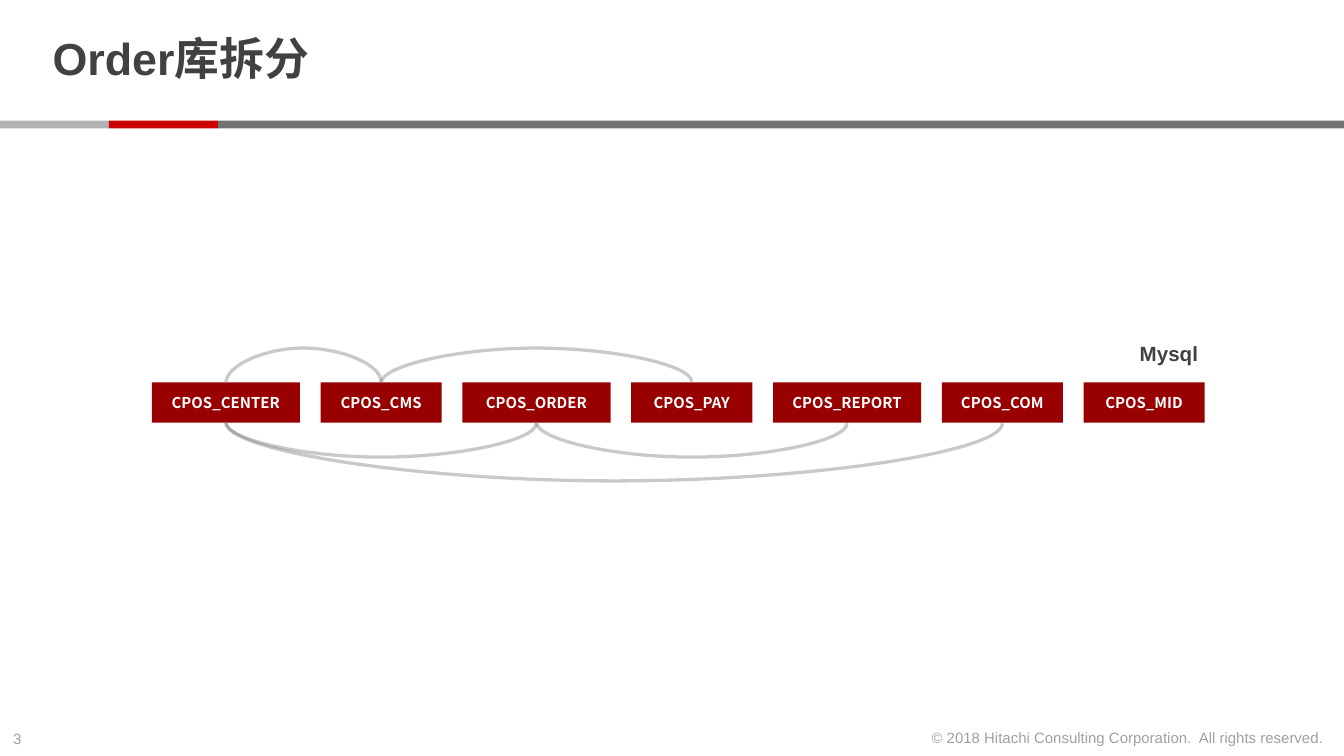
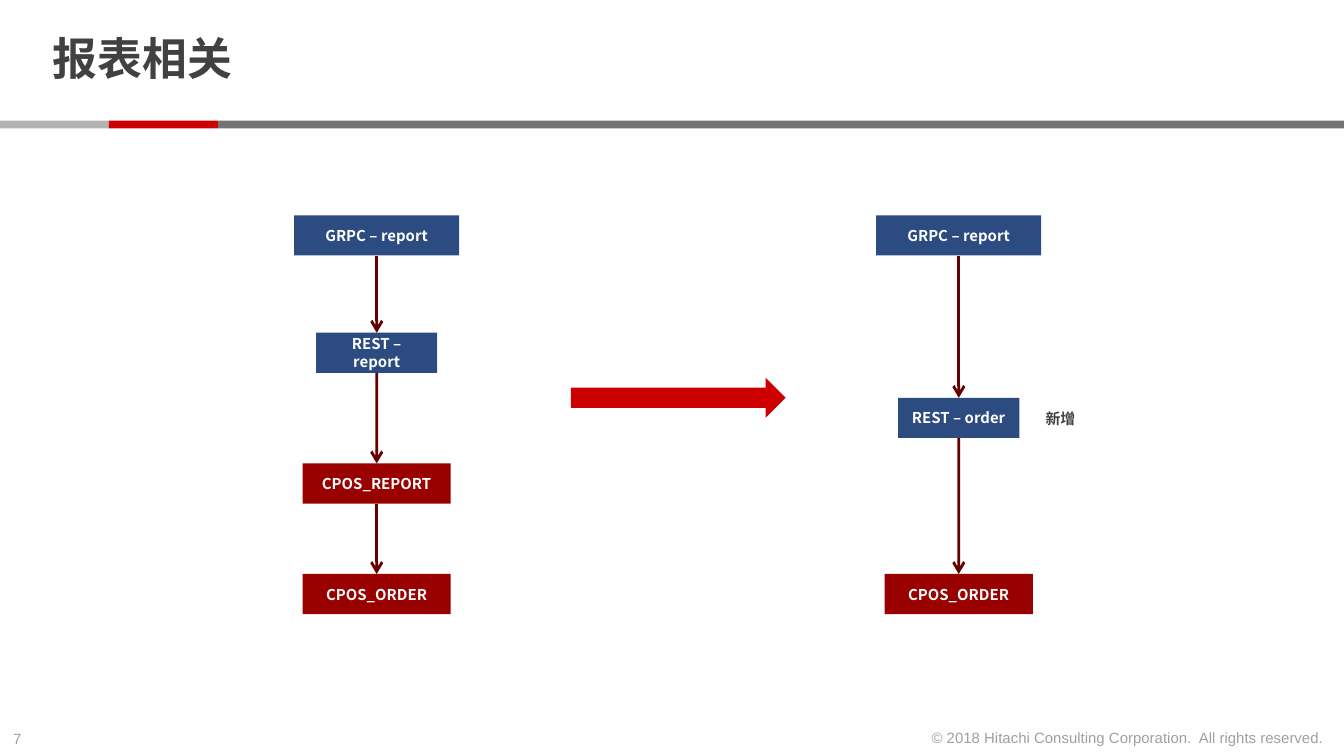
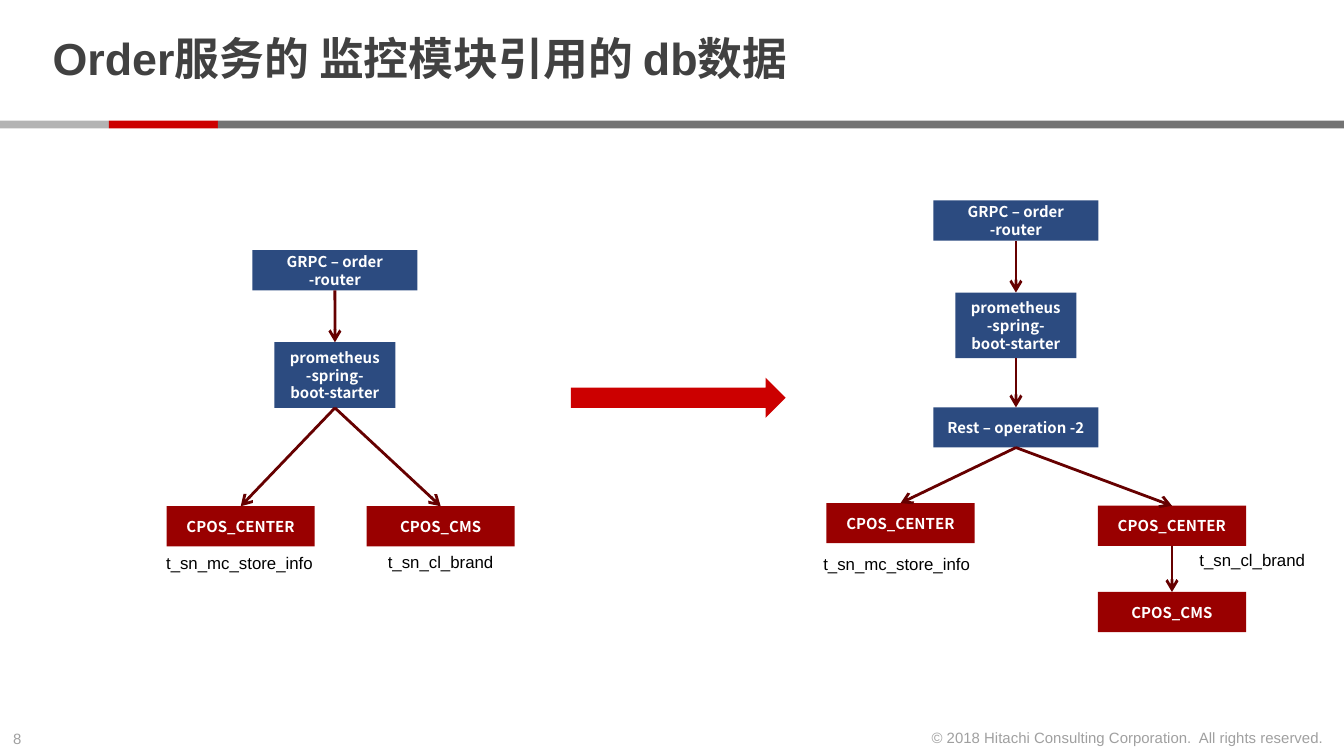
from lxml.etree import SubElement
from pptx import Presentation
from pptx.dml.color import RGBColor
from pptx.enum.shapes import MSO_CONNECTOR, MSO_SHAPE
from pptx.enum.text import MSO_ANCHOR, MSO_AUTO_SIZE, PP_ALIGN
from pptx.oxml.ns import qn
from pptx.util import Cm, Pt

COLORS = {
    "text": "414141", "black": "000000", "white": "FFFFFF",
    "light grey": "B3B3B3", "red": "CC0000", "dark grey": "737373",
    "database": "990000", "service": "2C4B80", "arrow": "660000", "curve": "808080",
}
PALETTE = {name: RGBColor.from_string(value) for name, value in COLORS.items()}
BOX_STYLES = {
    "database": (2.8, 0.76, "database"),
    "small database": (2.29, 0.76, "database"),
    "service": (3.12, 0.76, "service"),
    "small service": (2.29, 0.76, "service"),
    "tall service": (2.29, 1.24, "service"),
}


def add_box(page, text, center, top, style):
    width, height, color = BOX_STYLES[style]
    box = page.shapes.add_shape(
        MSO_SHAPE.RECTANGLE, Cm(center - width / 2), Cm(top), Cm(width), Cm(height))
    box.shadow.inherit = False
    box.fill.solid()
    box.fill.fore_color.rgb = PALETTE[color]
    box.line.fill.background()
    box.text_frame.word_wrap = True
    box.text_frame.vertical_anchor = MSO_ANCHOR.MIDDLE
    para = box.text_frame.paragraphs[0]
    para.text = text
    para.alignment = PP_ALIGN.CENTER
    font = para.runs[0].font
    font.name, font.size, font.bold = "Noto Sans CJK SC", Pt(8), True
    font.color.rgb = PALETTE["white"]
    return box


def add_label(page, text, left, top, width, size, color="text", bold=False,
              align=PP_ALIGN.LEFT, opacity=100):
    label = page.shapes.add_textbox(Cm(left), Cm(top), Cm(width), Cm(0.62))
    label.text_frame.word_wrap = False
    para = label.text_frame.paragraphs[0]
    para.text = text
    para.alignment = align
    font = para.runs[0].font
    font.name, font.size, font.bold = "Arial", Pt(size), bold
    font.color.rgb = PALETTE[color]
    if opacity < 100:
        for paint in label.element.iter(qn("a:srgbClr")):
            SubElement(paint, qn("a:alpha")).set("val", str(opacity * 1000))
    return label


deck = Presentation()
deck.slide_width, deck.slide_height = Cm(25.4), Cm(14.29)
layout = deck.slide_layouts[5]
for placeholder in list(layout.placeholders)[1:]:
    layout.shapes.element.remove(placeholder.element)

pages = []
for title_text, number in [
    ("Order库拆分", "3"),
    ("报表相关", "7"),
    ("Order服务的 监控模块引用的 db数据", "8"),
]:
    page = deck.slides.add_slide(layout)
    pages.append(page)
    title = page.shapes.title
    title.left, title.top, title.width, title.height = Cm(0.74), Cm(0.15), Cm(19.58), Cm(2.03)
    frame = title.text_frame
    frame.text = title_text
    frame.auto_size = MSO_AUTO_SIZE.NONE
    frame.vertical_anchor = MSO_ANCHOR.MIDDLE
    frame.margin_top = frame.margin_bottom = 0
    para = frame.paragraphs[0]
    para.alignment = PP_ALIGN.LEFT
    para.line_spacing = 0.85
    font = para.runs[0].font
    font.name, font.size, font.bold = "Arial", Pt(24), True
    font.color.rgb = PALETTE["text"]
    add_label(page, number, 0, 13.66, 0.86, 8, opacity=50)

split_page, report_page, monitor_page = pages

for left, width, color in [
    (0, 2.06, "light grey"), (2.06, 2.06, "red"), (4.12, 21.28, "dark grey"),
]:
    band = split_page.shapes.add_shape(
        MSO_SHAPE.RECTANGLE, Cm(left), Cm(2.28), Cm(width), Cm(0.15))
    band.shadow.inherit = False
    band.fill.solid()
    band.fill.fore_color.rgb = PALETTE[color]
    band.line.fill.background()
    layout.shapes.element.append(band.element)
copyright_line = add_label(
    split_page, "© 2018 Hitachi Consulting Corporation.  All rights reserved.",
    17.27, 13.65, 8, 8, align=PP_ALIGN.RIGHT, opacity=50)
layout.shapes.element.append(copyright_line.element)

databases = {}
left = 2.87
for name, style in [
    ("CENTER", "database"), ("CMS", "small database"), ("ORDER", "database"),
    ("PAY", "small database"), ("REPORT", "database"), ("COM", "small database"),
    ("MID", "small database"),
]:
    width = BOX_STYLES[style][0]
    databases[name] = add_box(split_page, f"CPOS_{name}", left + width / 2, 7.23, style)
    left += width + 0.39

thickness = Cm(0.02)
for start, end, side, depth in [
    ("ORDER", "CENTER", 2, 0.64), ("REPORT", "ORDER", 2, 0.64),
    ("CMS", "CENTER", 0, 0.64), ("PAY", "CMS", 0, 0.64), ("COM", "CENTER", 2, 1.09),
]:
    curve = split_page.shapes.add_connector(MSO_CONNECTOR.CURVE, 0, 0, 0, 0)
    curve.begin_connect(databases[start], side)
    curve.end_connect(databases[end], side)
    span_width = abs(curve.begin_x - curve.end_x)
    middle_x, middle_y = (curve.begin_x + curve.end_x) // 2, curve.begin_y
    curve.left, curve.top = middle_x - thickness // 2, middle_y - span_width // 2
    curve.width, curve.height = thickness, span_width
    frame = curve.element.spPr.find(qn("a:xfrm"))
    frame.set("rot", "5400000" if side == 2 else "16200000")
    frame.set("flipH", "1")
    frame.set("flipV", "0" if side == 2 else "1")
    guide = SubElement(next(curve.element.iter(qn("a:avLst"))), qn("a:gd"))
    guide.set("name", "adj1")
    guide.set("fmla", f"val {-round(Cm(depth) / thickness * 100000)}")
    curve.line.width = Pt(1.75)
    curve.line.color.rgb = PALETTE["curve"]
    for paint in curve.element.iter(qn("a:srgbClr")):
        SubElement(paint, qn("a:alpha")).set("val", "42000")
    SubElement(curve.element.spPr, qn("a:effectLst"))

add_label(split_page, "Mysql", 21.29, 6.32, 1.63, 11, bold=True)

report_nodes = [
    ("GRPC – report", 7.12, 4.07, "service", None),
    ("REST – report", 7.12, 6.29, "small service", 0),
    ("CPOS_REPORT", 7.12, 8.76, "database", 1),
    ("CPOS_ORDER", 7.12, 10.85, "database", 2),
    ("GRPC – report", 18.12, 4.07, "service", None),
    ("REST – order", 18.12, 7.52, "small service", 4),
    ("CPOS_ORDER", 18.12, 10.85, "database", 5),
]
monitor_nodes = [
    ("GRPC – order -router", 6.33, 4.73, "service", None),
    ("prometheus-spring-boot-starter", 6.33, 6.47, "tall service", 0),
    ("CPOS_CENTER", 4.55, 9.57, "database", 1),
    ("CPOS_CMS", 8.33, 9.57, "database", 1),
    ("GRPC – order -router", 19.2, 3.79, "service", None),
    ("prometheus-spring-boot-starter", 19.2, 5.53, "tall service", 4),
    ("Rest – operation -2", 19.2, 7.7, "service", 5),
    ("CPOS_CENTER", 17.02, 9.51, "database", 6),
    ("CPOS_CENTER", 22.15, 9.56, "database", 6),
    ("CPOS_CMS", 22.15, 11.19, "database", 8),
]
for page, nodes in [(report_page, report_nodes), (monitor_page, monitor_nodes)]:
    boxes = []
    for text, center, top, style, parent in nodes:
        box = add_box(page, text, center, top, style)
        boxes.append(box)
        if parent is None:
            continue
        arrow = page.shapes.add_connector(MSO_CONNECTOR.STRAIGHT, 0, 0, 0, 0)
        arrow.begin_connect(box, 0)
        arrow.end_connect(boxes[parent], 2)
        arrow.line.width = Pt(1.5)
        arrow.line.color.rgb = PALETTE["arrow"]
        SubElement(arrow.element.spPr.find(qn("a:ln")), qn("a:headEnd")).set("type", "arrow")
        SubElement(arrow.element.spPr, qn("a:effectLst"))
    change = page.shapes.add_shape(
        MSO_SHAPE.RIGHT_ARROW, Cm(10.79), Cm(7.14), Cm(4.06), Cm(0.76))
    change.shadow.inherit = False
    change.fill.solid()
    change.fill.fore_color.rgb = PALETTE["red"]
    change.line.fill.background()

add_label(report_page, "新增", 19.51, 7.61, 1.09, 8, bold=True)
for text, left, top, width in [
    ("t_sn_mc_store_info", 2.89, 10.32, 3.3),
    ("t_sn_cl_brand", 7.08, 10.31, 2.51),
    ("t_sn_mc_store_info", 15.31, 10.34, 3.3),
    ("t_sn_cl_brand", 22.42, 10.27, 2.51),
]:
    add_label(monitor_page, text, left, top, width, 9, color="black")

deck.save("out.pptx")
